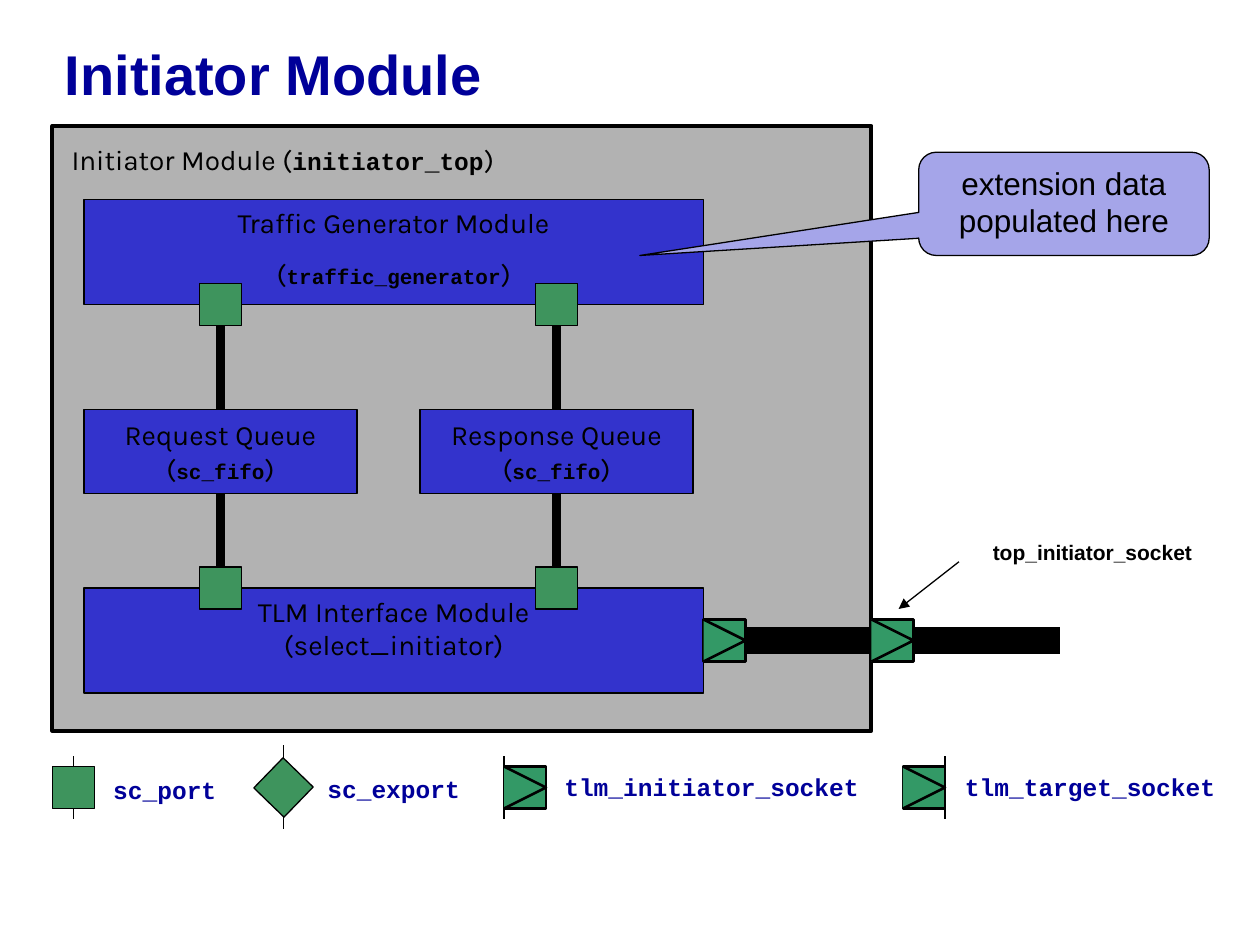
from lxml import etree
from pptx import Presentation, util as u
from pptx.dml.color import RGBColor
from pptx.enum import shapes, text
from pptx.oxml.ns import qn

Pt = u.Pt
color = RGBColor.from_string
BLACK, NAVY, BLUE, GREEN, TEAL = "000000", "000099", "3333CC", "3E945D", "339966"
RECT = shapes.MSO_SHAPE.RECTANGLE
CENTER = text.PP_ALIGN.CENTER
MIDDLE = text.MSO_ANCHOR.MIDDLE
PLAIN = ("Karla", 16, False)
CODE = ("Courier New", 12, True)
CODE_LARGE = ("Courier New", 14, True)
PORT = 24  # side of every port and socket

prs = Presentation()
prs.slide_width, prs.slide_height = Pt(720), Pt(540)
slide = prs.slides.add_slide(prs.slide_layouts[6])


def draw(kind, x, y, w, h, fill, weight=0.75):
    shape = slide.shapes.add_shape(kind, Pt(x), Pt(y), Pt(w), Pt(h))
    shape.shadow.inherit = False
    shape.fill.solid()
    shape.fill.fore_color.rgb = color(fill)
    shape.line.color.rgb = color(BLACK)
    shape.line.width = Pt(weight)
    return shape


def write(shape, lines, ink=BLACK, align=None, anchor=text.MSO_ANCHOR.TOP, wrap=True):
    """Each line is a list of (words, (font, size, bold)) runs."""
    frame = shape.text_frame
    frame.word_wrap = wrap
    frame.vertical_anchor = anchor
    for i, runs in enumerate(lines):
        paragraph = frame.add_paragraph() if i else frame.paragraphs[0]
        paragraph.alignment = align
        paragraph.font.color.rgb = color(ink)
        for words, style in runs:
            run = paragraph.add_run()
            run.text = words
            font = paragraph.font if len(runs) == 1 else run.font
            font.name, font.size, font.bold = style[0], Pt(style[1]), style[2]
    return frame


# Title
title = slide.shapes.add_textbox(Pt(30), Pt(0), Pt(684), Pt(90))
heading = write(title, [[("Initiator Module", ("Arial", 32, True))]], NAVY, anchor=MIDDLE)
heading.paragraphs[0].line_spacing = 0.85

# Initiator module enclosure and its caption
draw(RECT, 30, 72, 468, 345.6, "B2B2B2", 2.25)
caption = slide.shapes.add_textbox(Pt(33.84), Pt(77.76), Pt(416), Pt(23))
write(caption, [[("Initiator Module (", PLAIN), ("initiator_top", CODE_LARGE), (")", PLAIN)]])

# Lines: queue links, socket buses, legend ticks, pointer to the top socket
lines = {
    "request up": (126, 234, 126, 186, 5),
    "request down": (126, 282, 126, 324, 5),
    "response up": (318, 234, 318, 186, 5),
    "response down": (318, 282, 318, 324, 5),
    "inner bus": (426, 366, 498, 366, 15),
    "outer bus": (522, 366, 606, 366, 15),
    "port tick": (42, 432, 42, 468, 0.75),
    "export tick": (162, 426, 162, 474, 0.75),
    "initiator tick": (288, 432, 288, 468, 0.75),
    "target tick": (540, 432, 540, 468, 0.75),
    "pointer": (548, 321, 513.5, 348, 0.75),
}
links = {}
for name, (x1, y1, x2, y2, weight) in lines.items():
    link = slide.shapes.add_connector(
        shapes.MSO_CONNECTOR.STRAIGHT, Pt(x1), Pt(y1), Pt(x2), Pt(y2))
    link.line.color.rgb = color(BLACK)
    link.line.width = Pt(weight)
    etree.SubElement(link._element.spPr, qn("a:effectLst"))
    links[name] = link
etree.SubElement(links["pointer"].line._get_or_add_ln(), qn("a:tailEnd"), type="triangle")

# Traffic generator and TLM interface
generator = draw(RECT, 48, 114, 354, 60, BLUE)
generator_text = write(generator, [
    [("Traffic Generator Module", PLAIN)],
    [("(", PLAIN), ("traffic_generator", CODE), (")", PLAIN)],
], align=CENTER)
generator_text.paragraphs[1].space_before = Pt(10)
interface = draw(RECT, 48, 336, 354, 60, BLUE)
write(interface, [[("TLM Interface Module", PLAIN)], [("(select_initiator)", PLAIN)]],
      align=CENTER)

# Queues, each linked to a port above and a port below
for name, center in (("Request", 126), ("Response", 318)):
    queue = draw(RECT, center - 78, 234, 156, 48, BLUE)
    write(queue, [[(f"{name} Queue", PLAIN)],
                  [("(", PLAIN), ("sc_fifo", CODE), (")", PLAIN)]],
          align=CENTER, anchor=MIDDLE)
    for way, port_top, queue_side, port_side in (("up", 162, 0, 2), ("down", 324, 2, 0)):
        port = draw(RECT, center - PORT / 2, port_top, PORT, PORT, GREEN)
        link = links[f"{name.lower()} {way}"]
        link.begin_connect(queue, queue_side)
        link.end_connect(port, port_side)

# Sockets in the diagram and in the legend
sockets = []
for x, y in ((402, 354), (498, 354), (288, 438), (516, 438)):
    sockets.append(draw(RECT, x, y, PORT, PORT, TEAL, 1.5))
    builder = slide.shapes.build_freeform(Pt(x), Pt(y))
    builder.add_line_segments(
        [(Pt(x + PORT), Pt(y + PORT / 2)), (Pt(x), Pt(y + PORT))], close=False)
    wedge = builder.convert_to_shape()
    wedge.shadow.inherit = False
    wedge.fill.solid()
    wedge.fill.fore_color.rgb = color(TEAL)
    wedge.line.color.rgb = color(BLACK)
    wedge.line.width = Pt(1.5)
inner_socket, top_socket = sockets[:2]
links["inner bus"].begin_connect(inner_socket, 3)
links["inner bus"].end_connect(top_socket, 1)
links["outer bus"].begin_connect(top_socket, 3)

# Legend port and export
draw(RECT, 30, 438, PORT, PORT, GREEN)
export = draw(RECT, 150, 438, PORT, PORT, GREEN)
export.rotation = 44.1

# Legend labels and the socket label
for words, x, y, w, style, ink in (
    ("sc_port", 57.6, 439.2, 73.4, CODE_LARGE, NAVY),
    ("sc_export", 180, 438.5, 90, CODE_LARGE, NAVY),
    ("tlm_initiator_socket", 315.4, 437.8, 182.9, CODE_LARGE, NAVY),
    ("tlm_target_socket", 544.3, 437.8, 157.7, CODE_LARGE, NAVY),
    ("top_initiator_socket", 560.2, 304.6, 128.2, ("Arial", 12, True), BLACK),
):
    label = slide.shapes.add_textbox(Pt(x), Pt(y), Pt(w), Pt(24))
    write(label, [[(words, style)]], ink, wrap=False)

# Callout on the traffic generator
callout = draw(shapes.MSO_SHAPE.ROUNDED_RECTANGULAR_CALLOUT, 525, 87, 166, 59, "A5A5E9")
for i, value in enumerate((-1.46, 0.5, 0.17)):
    callout.adjustments[i] = value
note = ("Arial", 18, False)
write(callout, [[("extension data", note)], [("populated here", note)]], align=CENTER)

prs.save("out.pptx")
